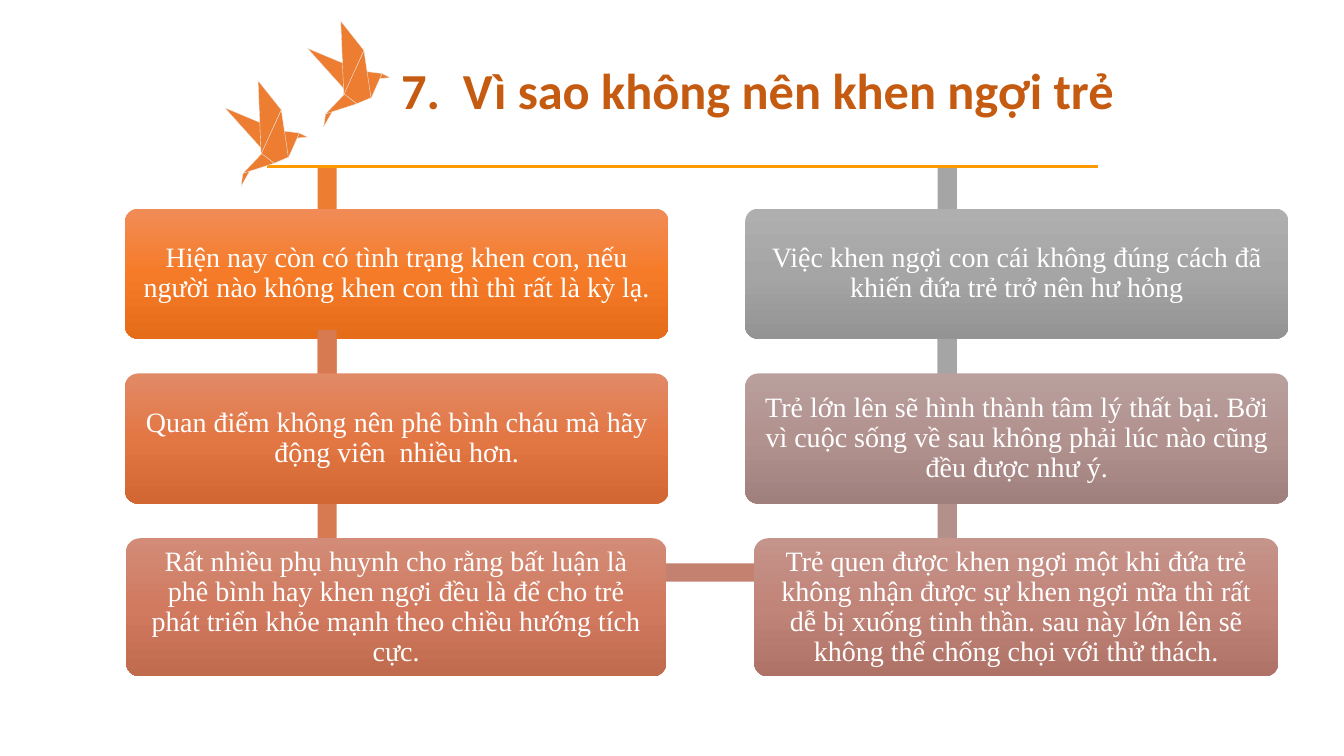
"""Builds the slide on why children should not be over-praised."""
from copy import deepcopy

from pptx import Presentation
from pptx.dml.color import RGBColor as RGB
from pptx.enum.shapes import MSO_CONNECTOR as LINE, MSO_SHAPE as SHAPE
from pptx.enum.text import MSO_ANCHOR as ANCHOR, PP_ALIGN as ALIGN
from pptx.oxml.ns import qn
from pptx.util import Inches, Pt
from lxml.etree import SubElement

WHITE = RGB(0xFF, 0xFF, 0xFF)
ORANGE = RGB(0xED, 0x7D, 0x31)
RUST = RGB(0xC5, 0x5A, 0x11)
AMBER = RGB(0xFF, 0x99, 0x00)
CREASE = RGB(0xED, 0xED, 0xED)
GREY = RGB(0xA5, 0xA5, 0xA5)
COPPER = RGB(0xD8, 0x7A, 0x51)
CLAY = RGB(0xC4, 0x81, 0x70)
MAUVE = RGB(0xB4, 0x90, 0x8B)
ORANGE_FADE = RGB(0xF1, 0x8C, 0x57), RGB(0xF6, 0x7B, 0x28), RGB(0xE5, 0x6C, 0x19)
COPPER_FADE = RGB(0xE1, 0x8A, 0x66), RGB(0xE3, 0x77, 0x44), RGB(0xD2, 0x67, 0x34)
CLAY_FADE = RGB(0xD2, 0x8C, 0x78), RGB(0xD1, 0x7A, 0x5F), RGB(0xC0, 0x6A, 0x4E)
ROSE_FADE = RGB(0xC5, 0x94, 0x8B), RGB(0xC1, 0x84, 0x78), RGB(0xAF, 0x72, 0x67)
MAUVE_FADE = RGB(0xB9, 0xA0, 0x9D), RGB(0xB2, 0x92, 0x8F), RGB(0xA0, 0x80, 0x7D)
GREY_FADE = RGB(0xAF, 0xAF, 0xAF), RGB(0xA5, 0xA5, 0xA5), RGB(0x93, 0x93, 0x93)

TOP, CARD_W, CARD_H, LAST_H = 2.07, 5.39, 1.29, 1.37
PITCH = 1.635
BAR_W, BAR_X = 0.19, 1.91
LEFT, RIGHT = 1.24, 7.39

BIRD_FACETS = [
    [(25, 89), (16, 105), (18, 92)],
    [(18, 92), (37, 72), (49, 82)],
    [(74, 52), (82, 56), (71, 57)],
    [(58, 50), (74, 52), (63, 77)],
    [(0, 27), (36, 42), (36, 67)],
    [(49, 82), (63, 76), (56, 29), (36, 72)],
    [(56, 29), (33, 0), (36, 73)],
]


def set_text(s, text, font, size, color, bold=False):
    """Write one centred paragraph in a shape."""
    tf = s.text_frame
    tf.word_wrap, tf.vertical_anchor = True, ANCHOR.MIDDLE
    p = tf.paragraphs[0]
    p.text, p.alignment, p.line_spacing = text, ALIGN.CENTER, 0.9
    p.font.name, p.font.size, p.font.bold = font, Pt(size), bold
    p.font.color.rgb = color


def add_bar(slide, x, y, w, h, color):
    """Draw a plain bar that links cards."""
    s = slide.shapes.add_shape(SHAPE.RECTANGLE, *map(Inches, (x, y, w, h)))
    s.shadow.inherit = False
    s.fill.solid()
    s.fill.fore_color.rgb = color
    s.line.fill.background()


def add_card(slide, x, y, w, h, fade, text):
    """Draw a rounded card with a vertical three-stop gradient."""
    s = slide.shapes.add_shape(SHAPE.ROUNDED_RECTANGLE, *map(Inches, (x, y, w, h)))
    s.shadow.inherit = False
    s.adjustments[0] = 0.1
    s.line.fill.background()
    s.fill.gradient()
    s.fill.gradient_angle = 270
    stops = s._element.spPr.find(qn("a:gradFill")).find(qn("a:gsLst"))
    stops.insert(1, deepcopy(stops[0]))
    for i, (stop, color) in enumerate(zip(s.fill.gradient_stops, fade)):
        stop.position, stop.color.rgb = i / 2, color
    tf = s.text_frame
    tf.margin_left = tf.margin_right = tf.margin_top = tf.margin_bottom = Inches(0.12)
    set_text(s, text, "Times New Roman", 20, WHITE)


def add_row_card(slide, x, row, fade, text):
    """Place a card in a row of the column that starts at x."""
    add_card(slide, x, TOP + row * PITCH, CARD_W, CARD_H, fade, text)


def add_row_bar(slide, x, row, height, color):
    """Place the vertical bar that leads into a row."""
    add_bar(slide, x + BAR_X, 1.665 + row * 1.61, BAR_W, height, color)


def add_left_column(slide, x):
    """Draw the left column from top to bottom."""
    add_row_bar(slide, x, 0, 3.04, ORANGE)
    add_row_card(slide, x, 0, ORANGE_FADE,
                 "Hiện nay còn có tình trạng khen con, nếu người nào không khen con "
                 "thì thì rất là kỳ lạ. ")
    add_row_bar(slide, x, 1, 3.12, COPPER)
    add_row_card(slide, x, 1, COPPER_FADE,
                 "Quan điểm không nên phê bình cháu mà hãy động viên  nhiều hơn.")
    y = TOP + 2 * PITCH
    add_bar(slide, x + 0.02, y + 0.25, 10.13, 0.18, CLAY)
    add_card(slide, x + 0.01, y, 5.36, LAST_H, CLAY_FADE,
             "Rất nhiều phụ huynh cho rằng bất luận là phê bình hay khen ngợi đều là "
             "để cho trẻ phát triển khỏe mạnh theo chiều hướng tích cực.")


def add_right_column(slide, x):
    """Draw the right column from bottom to top."""
    add_row_bar(slide, x, 1, 3.12, MAUVE)
    add_card(slide, x + 0.09, TOP + 2 * PITCH, 5.2, LAST_H, ROSE_FADE,
             "Trẻ quen được khen ngợi một khi đứa trẻ không nhận được sự khen ngợi nữa "
             "thì rất dễ bị xuống tinh thần. sau này lớn lên sẽ không thể chống chọi "
             "với thử thách.")
    add_row_bar(slide, x, 0, 3.04, GREY)
    add_row_card(slide, x, 1, MAUVE_FADE,
                 "Trẻ lớn lên sẽ hình thành tâm lý thất bại. Bởi vì cuộc sống về sau "
                 "không phải lúc nào cũng đều được như ý.")
    add_row_card(slide, x, 0, GREY_FADE,
                 "Việc khen ngợi con cái không đúng cách đã khiến đứa trẻ trở nên hư hỏng")


def add_title(slide, x, y, w, h):
    """Write the title, shifted right to clear the birds."""
    s = slide.shapes.add_textbox(*map(Inches, (x, y, w, h)))
    s.text_frame.margin_left = Inches(0.65)
    set_text(s, "7.  Vì sao không nên khen ngợi trẻ", "Calibri", 36, RUST, True)


def add_rule(slide, x1, x2, y):
    """Draw the line under the title."""
    s = slide.shapes.add_connector(LINE.STRAIGHT, *map(Inches, (x1, y, x2, y)))
    s.line.color.rgb, s.line.width = AMBER, Pt(2.25)
    SubElement(s._element.spPr, qn("a:effectLst"))


def add_bird(slide, x, y):
    """Draw a folded paper bird with its top left corner at x, y."""
    group = slide.shapes.add_group_shape()
    for start, *rest in BIRD_FACETS:
        outline = group.shapes.build_freeform(*start, scale=Inches(0.01))
        outline.add_line_segments(rest, close=True)
        s = outline.convert_to_shape(Inches(x), Inches(y))
        s.shadow.inherit = False
        s.fill.solid()
        s.fill.fore_color.rgb = ORANGE
        s.line.color.rgb, s.line.width = CREASE, Pt(0.25)


def main():
    """Build and save the slide."""
    prs = Presentation()
    prs.slide_width, prs.slide_height = Inches(13.33), Inches(7.5)
    slide = prs.slides.add_slide(prs.slide_layouts[6])
    add_title(slide, 3.25, 0.2, 7.98, 1.45)
    add_left_column(slide, LEFT)
    add_right_column(slide, RIGHT)
    add_rule(slide, 2.65, 10.89, 1.65)
    add_bird(slide, 2.23, 0.8)
    add_bird(slide, 3.05, 0.21)
    prs.save("out.pptx")


if __name__ == "__main__":
    main()
